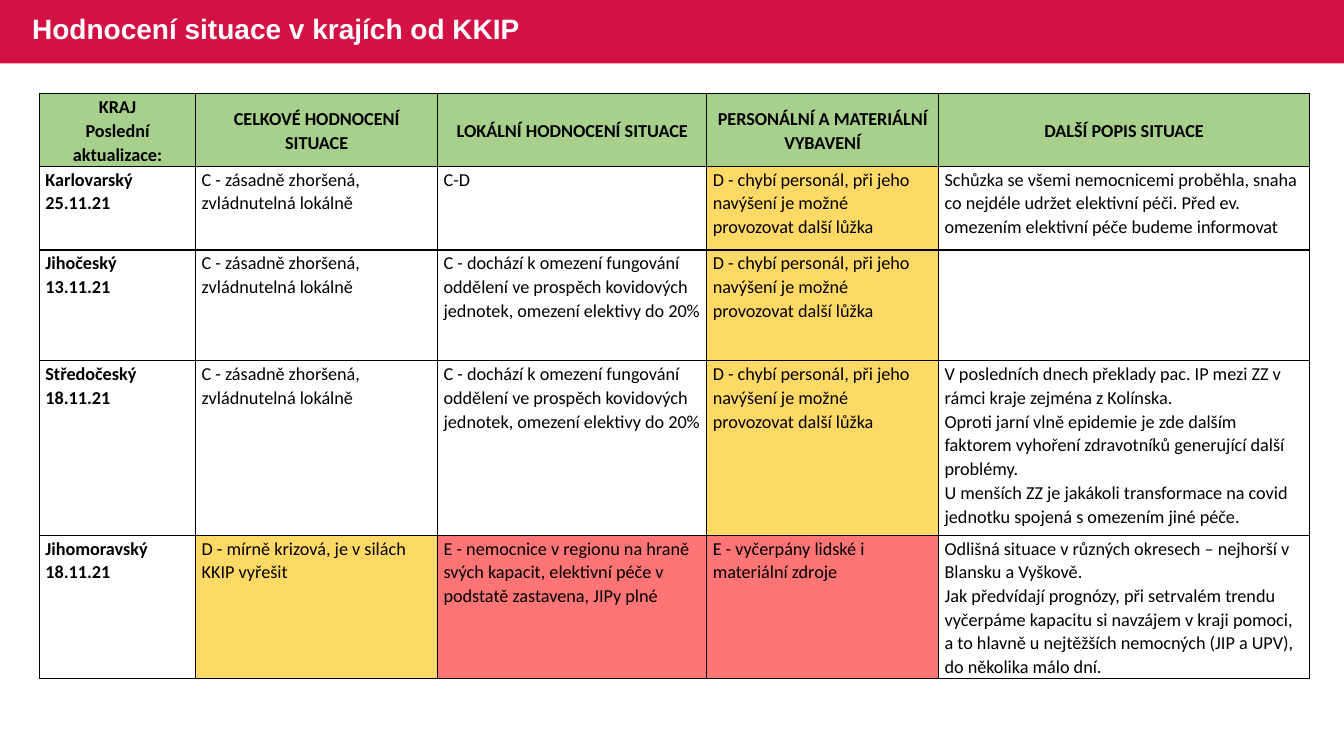
from dataclasses import dataclass

from lxml import etree
from pptx import Presentation
from pptx.dml.color import RGBColor
from pptx.enum.shapes import MSO_SHAPE
from pptx.enum.text import MSO_ANCHOR, PP_ALIGN
from pptx.oxml.ns import qn
from pptx.util import Inches, Pt

RECTANGLE = MSO_SHAPE.RECTANGLE
TOP, MIDDLE = MSO_ANCHOR.TOP, MSO_ANCHOR.MIDDLE
LEFT, CENTER = PP_ALIGN.LEFT, PP_ALIGN.CENTER


@dataclass(frozen=True)
class Theme:
    banner: str = "D31145"
    title: str = "FFFFFF"
    ink: str = "000000"
    header: str = "A8D08D"
    warning: str = "FFD966"
    critical: str = "FF7575"
    title_font: str = "Arial"
    table_font: str = "Calibri"
    title_size: float = 20
    table_size: float = 13
    border_width: float = 1


def write_text(frame, text, *, font, size, color, bold=False,
               align=LEFT, spacing=1.0):
    """Write each line of the text as a formatted paragraph."""
    for index, line in enumerate(text.split("\n")):
        paragraph = frame.add_paragraph() if index else frame.paragraphs[0]
        paragraph.alignment = align
        paragraph.line_spacing = spacing
        if not line:
            continue
        run = paragraph.add_run()
        run.text = line
        run.font.name = font
        run.font.size = Pt(size)
        run.font.bold = bold
        run.font.color.rgb = RGBColor.from_string(color)


class SlideBuilder:
    """Holds the theme and slide; boxes are percentages of the slide size."""

    def __init__(self, presentation, theme):
        self.theme = theme
        self.width = presentation.slide_width
        self.height = presentation.slide_height
        self.slide = presentation.slides.add_slide(presentation.slide_layouts[6])

    def across(self, percent):
        return round(self.width * percent / 100)

    def down(self, percent):
        return round(self.height * percent / 100)

    def place(self, left, top, width, height):
        return (self.across(left), self.down(top),
                self.across(width), self.down(height))

    def banner(self, *box):
        shape = self.slide.shapes.add_shape(RECTANGLE, *self.place(*box))
        shape.shadow.inherit = False
        shape.fill.solid()
        shape.fill.fore_color.rgb = RGBColor.from_string(self.theme.banner)
        shape.line.fill.background()

    def title(self, text, *box):
        frame = self.slide.shapes.add_textbox(*self.place(*box)).text_frame
        frame.word_wrap = True
        frame.vertical_anchor = MIDDLE
        write_text(frame, text, font=self.theme.title_font,
                   size=self.theme.title_size, color=self.theme.title,
                   bold=True, spacing=0.9)

    def table(self, left, top, widths, heights, rows, fills):
        box = self.place(left, top, sum(widths), sum(heights))
        table = self.slide.shapes.add_table(len(heights), len(widths), *box).table
        table.first_row = table.horz_banding = False
        for column, width in zip(table.columns, widths):
            column.width = self.across(width)
        for row, height in zip(table.rows, heights):
            row.height = self.down(height)
        for row_index, texts in enumerate(rows):
            for column_index, text in enumerate(texts):
                self.cell(table.cell(row_index, column_index), text,
                          fill=fills.get((row_index, column_index)),
                          heading=row_index == 0, bold=0 in (row_index, column_index))

    def cell(self, cell, text, *, fill, heading, bold):
        theme = self.theme
        cell.margin_left = cell.margin_right = Inches(0.06)
        cell.margin_top, cell.margin_bottom = Inches(0.01), 0
        cell.vertical_anchor = MIDDLE if heading else TOP
        write_text(cell.text_frame, text, font=theme.table_font,
                   size=theme.table_size, color=theme.ink, bold=bold,
                   align=CENTER if heading else LEFT, spacing=1.07)
        self.cell_borders(cell)
        if heading:
            fill = theme.header
        if fill:
            cell.fill.solid()
            cell.fill.fore_color.rgb = RGBColor.from_string(fill)
        else:
            cell.fill.background()

    def cell_borders(self, cell):
        properties = cell._tc.get_or_add_tcPr()
        for index, side in enumerate(("a:lnL", "a:lnR", "a:lnT", "a:lnB")):
            line = etree.Element(qn(side), w=str(Pt(self.theme.border_width)))
            solid = etree.SubElement(line, qn("a:solidFill"))
            etree.SubElement(solid, qn("a:srgbClr"), val=self.theme.ink)
            properties.insert(index, line)


# Assessments shared by several regions
WORSENED = "C - zásadně zhoršená, zvládnutelná lokálně"
RESTRICTED = ("C - dochází k omezení fungování oddělení ve prospěch kovidových "
              "jednotek, omezení elektivy do 20%")
UNDERSTAFFED = ("D - chybí personál, při jeho navýšení je možné "
                "provozovat další lůžka")

ROWS = [
    ("KRAJ\nPoslední aktualizace:", "CELKOVÉ HODNOCENÍ SITUACE",
     "LOKÁLNÍ HODNOCENÍ SITUACE", "PERSONÁLNÍ A MATERIÁLNÍ VYBAVENÍ",
     "DALŠÍ POPIS SITUACE"),
    ("Karlovarský\n25.11.21", WORSENED, "C-D", UNDERSTAFFED,
     "Schůzka se všemi nemocnicemi proběhla, snaha co nejdéle udržet elektivní "
     "péči. Před ev. omezením elektivní péče budeme informovat"),
    ("Jihočeský\n13.11.21", WORSENED, RESTRICTED, UNDERSTAFFED, ""),
    ("Středočeský\n18.11.21", WORSENED, RESTRICTED, UNDERSTAFFED,
     "V posledních dnech překlady pac. IP mezi ZZ v rámci kraje zejména "
     "z Kolínska.\n"
     "Oproti jarní vlně epidemie je zde dalším faktorem vyhoření zdravotníků "
     "generující další problémy.\n"
     "U menších ZZ je jakákoli transformace na covid jednotku spojená "
     "s omezením jiné péče."),
    ("Jihomoravský\n18.11.21", "D - mírně krizová, je v silách KKIP vyřešit",
     "E - nemocnice v regionu na hraně svých kapacit, elektivní péče "
     "v podstatě zastavena, JIPy plné",
     "E - vyčerpány lidské i materiální zdroje",
     "Odlišná situace v různých okresech – nejhorší v Blansku a Vyškově.\n"
     "Jak předvídají prognózy, při setrvalém trendu vyčerpáme kapacitu si "
     "navzájem v kraji pomoci, a to hlavně u nejtěžších nemocných (JIP a UPV), "
     "do několika málo dní."),
]


def main():
    presentation = Presentation()
    presentation.slide_width = Inches(13.33)
    presentation.slide_height = Inches(7.5)
    theme = Theme()
    builder = SlideBuilder(presentation, theme)

    # Title banner
    builder.banner(0, 0, 100, 8.4)
    builder.title("Hodnocení situace v krajích od KKIP", 1.65, -0.13, 61.05, 8.4)

    # Regional table, coloured by the grade that opens each assessment
    grades = {"D - ": theme.warning, "E - ": theme.critical}
    fills = {(row, column): grades.get(text[:4])
             for row, texts in enumerate(ROWS)
             for column, text in enumerate(texts)}
    builder.table(2.93, 12.4, (11.63, 18, 20.03, 17.25, 27.6),
                  (9.6, 11.07, 14.67, 23.07, 18.93), ROWS, fills)

    presentation.save("out.pptx")


if __name__ == "__main__":
    main()
